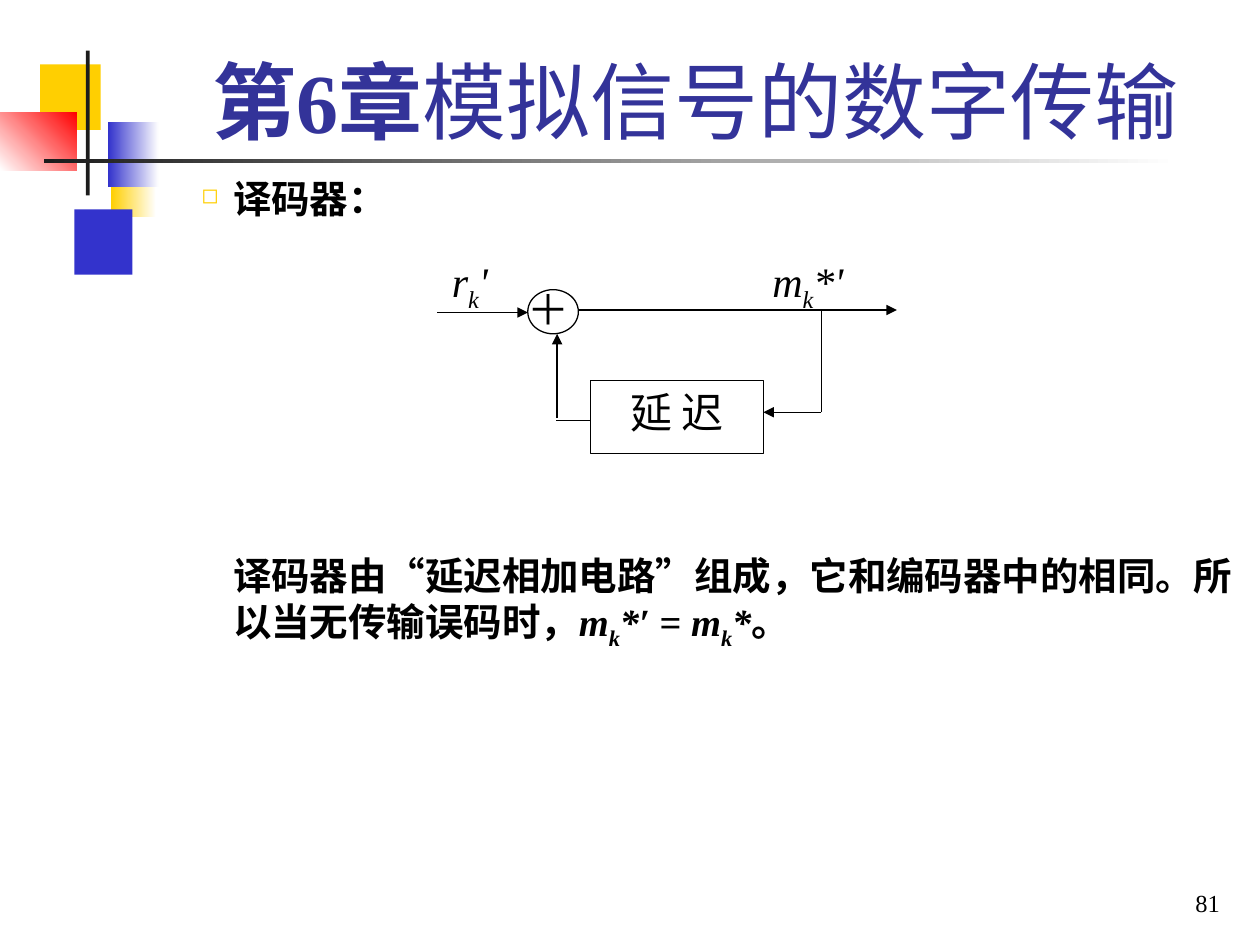
from lxml import etree
from pptx import Presentation
from pptx.dml.color import RGBColor
from pptx.enum.lang import MSO_LANGUAGE_ID
from pptx.enum.shapes import MSO_CONNECTOR, MSO_SHAPE
from pptx.enum.text import MSO_ANCHOR, MSO_AUTO_SIZE, PP_ALIGN
from pptx.oxml.ns import qn
from pptx.util import Cm, Pt

RECT, OVAL = MSO_SHAPE.RECTANGLE, MSO_SHAPE.OVAL
LEFT, CENTER, RIGHT = PP_ALIGN.LEFT, PP_ALIGN.CENTER, PP_ALIGN.RIGHT
TOP, BOTTOM = MSO_ANCHOR.TOP, MSO_ANCHOR.BOTTOM
STRAIGHT, NO_FIT = MSO_CONNECTOR.STRAIGHT, MSO_AUTO_SIZE.NONE
CHINESE = MSO_LANGUAGE_ID.SIMPLIFIED_CHINESE
FONT = "Times New Roman"
COLORS = {"black": "000000", "white": "FFFFFF", "title": "333399", "yellow": "FFCF01",
          "blue": "3333CC", "red": "FF0000", "dark": "1C1C1C"}

DECORATIONS = [
    ((2.24, 3.05, 0.91, 1.32), ("yellow", "white"), 0),
    ((1.5, 4.22, 1.17, 1.32), ("blue",), 0),
    ((0.81, 1.3, 1.22, 1.32), ("yellow",), 0),
    ((2.18, 2.46, 1.02, 1.32), ("blue", "white"), 0),
    ((0, 2.26, 1.55, 1.17), ("white", "red"), 45),
    ((1.73, 1.02, 0.08, 2.92), ("dark",), 0),
    ((0.89, 3.2, 22.86, 0.08), ("dark", "white"), 0),
]
TITLE = [("第6章", "b"), ("模拟信号的数字传输", "")]
HEADING = [("译码器：", "b")]
EXPLANATION = [
    ("译码器由“延迟相加电路”组成，它和编码器中的相同。所以当无传输误码时，", "b"),
    ("m", "bi"), ("k", "bis"), ("*′", "bi"), (" = ", "b"),
    ("m", "bi"), ("k", "bis"), ("*", "bi"), ("。", "b"),
]
LABELS = [
    ((10.39, 5.59, 1.57, 1.17), [("＋", "")]),
    ((8.86, 5.03, 1.65, 1.32), [("r", "i"), ("k", "is"), ("'", "i")]),
    ((15.32, 5.03, 2.29, 1.32), [("m", "i"), ("k", "is"), ("*'", "i")]),
]
ADDER = (10.64, 5.84, 1.02, 0.89)
DELAY = (11.91, 7.67, 3.48, 1.47)
OUTPUT_Y, TAP_X, TAP_Y = 6.25, 16.56, 8.31
ADDER_RIGHT, ADDER_BOTTOM = ADDER[0] + ADDER[2], ADDER[1] + ADDER[3]
DELAY_RIGHT = DELAY[0] + DELAY[2]
WIRES = [
    ((DELAY[0], 8.48), (11.2, 8.48), False),
    ((8.81, 6.3), (ADDER[0], 6.3), True),
    ((ADDER_RIGHT, OUTPUT_Y), (18.08, OUTPUT_Y), True),
    ((11.23, 8.43), (11.23, ADDER_BOTTOM), True),
    ((TAP_X, OUTPUT_Y), (TAP_X, TAP_Y), False),
    ((TAP_X, TAP_Y), (DELAY_RIGHT, TAP_Y), True),
]


def rgb(name):
    return RGBColor.from_string(COLORS[name])


def cm(values):
    return [Cm(v) for v in values]


def add_runs(p, runs, size, color="black", align=LEFT):
    p.alignment = align
    for text, style in runs:
        r = p.add_run()
        r.text = text
        font = r.font
        font.name, font.size, font.language_id = FONT, Pt(size), CHINESE
        font.bold, font.italic = "b" in style, "i" in style
        font.color.rgb = rgb(color)
        if "s" in style:
            r._r.get_or_add_rPr().set("baseline", "-25000")


def add_text(slide, box, runs, size, align=LEFT, anchor=TOP):
    tf = slide.shapes.add_textbox(*cm(box)).text_frame
    tf.word_wrap, tf.vertical_anchor = True, anchor
    add_runs(tf.paragraphs[0], runs, size, align=align)
    return tf


def add_block(slide, kind, box, fills, angle=0, outlined=False):
    sp = slide.shapes.add_shape(kind, *cm(box))
    sp.shadow.inherit = False
    if len(fills) == 1:
        sp.fill.solid()
        sp.fill.fore_color.rgb = rgb(fills[0])
    else:
        sp.fill.gradient()
        sp.fill.gradient_angle = angle
        for stop, name in zip(sp.fill.gradient_stops, fills):
            stop.color.rgb = rgb(name)
    if outlined:
        sp.line.color.rgb = rgb("black")
        sp.line.width = Pt(0.75)
    else:
        sp.line.fill.background()
    return sp


def add_wire(slide, start, end, arrow):
    line = slide.shapes.add_connector(STRAIGHT, *cm(start + end))
    line.line.color.rgb = rgb("black")
    line.line.width = Pt(0.75)
    if arrow:
        etree.SubElement(line.line._get_or_add_ln(), qn("a:tailEnd"), type="triangle")
    etree.SubElement(line._element.spPr, qn("a:effectLst"))


def indent(p, left, first):
    pPr = p._p.get_or_add_pPr()
    pPr.set("marL", str(Cm(left)))
    pPr.set("indent", str(Cm(first)))
    return pPr


def add_body(slide):
    tf = add_text(slide, (0, 3.4, 25.4, 15.65), HEADING, 22)
    heading, explanation = tf.paragraphs[0], tf.add_paragraph()
    add_runs(explanation, EXPLANATION, 22)
    heading.space_before, explanation.space_before = Pt(4.4), Pt(189)
    pPr = indent(heading, 4.45, -0.64)
    color = etree.SubElement(pPr, qn("a:buClr"))
    etree.SubElement(color, qn("a:srgbClr"), val=COLORS["yellow"])
    etree.SubElement(pPr, qn("a:buSzPct"), val="55000")
    etree.SubElement(pPr, qn("a:buChar"), char="◻")
    indent(explanation, 4.45, 0)


def main():
    prs = Presentation()
    prs.slide_width, prs.slide_height = Cm(25.4), Cm(19.05)
    slide = prs.slides.add_slide(prs.slide_layouts[5])

    for box, fills, angle in DECORATIONS:
        add_block(slide, RECT, box, fills, angle)

    title = slide.shapes.title
    title.left, title.top, title.width, title.height = cm((3.2, 0.58, 21.64, 2.57))
    tf = title.text_frame
    tf.auto_size, tf.vertical_anchor = NO_FIT, BOTTOM
    add_runs(tf.paragraphs[0], TITLE, 48, "title", CENTER)

    add_body(slide)
    add_text(slide, (19.56, 17.35, 5.28, 1.27), [("81", "")], 14, RIGHT, BOTTOM)

    delay = add_block(slide, RECT, DELAY, ("white",), outlined=True)
    delay.text_frame.vertical_anchor = TOP
    add_runs(delay.text_frame.paragraphs[0], [("延 迟", "")], 24, align=CENTER)
    add_block(slide, OVAL, ADDER, ("white",), outlined=True)
    for wire in WIRES:
        add_wire(slide, *wire)
    for box, runs in LABELS:
        add_text(slide, box, runs, 24)

    prs.save("out.pptx")


if __name__ == "__main__":
    main()
